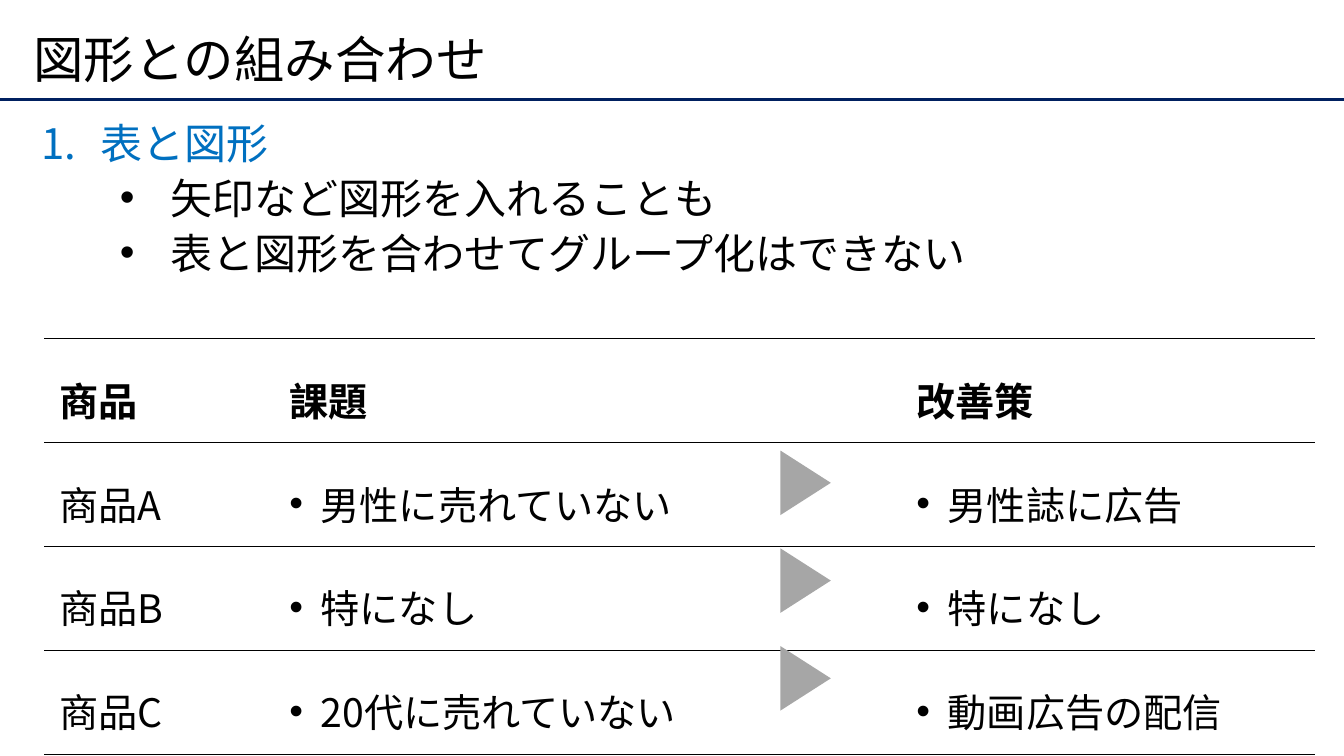
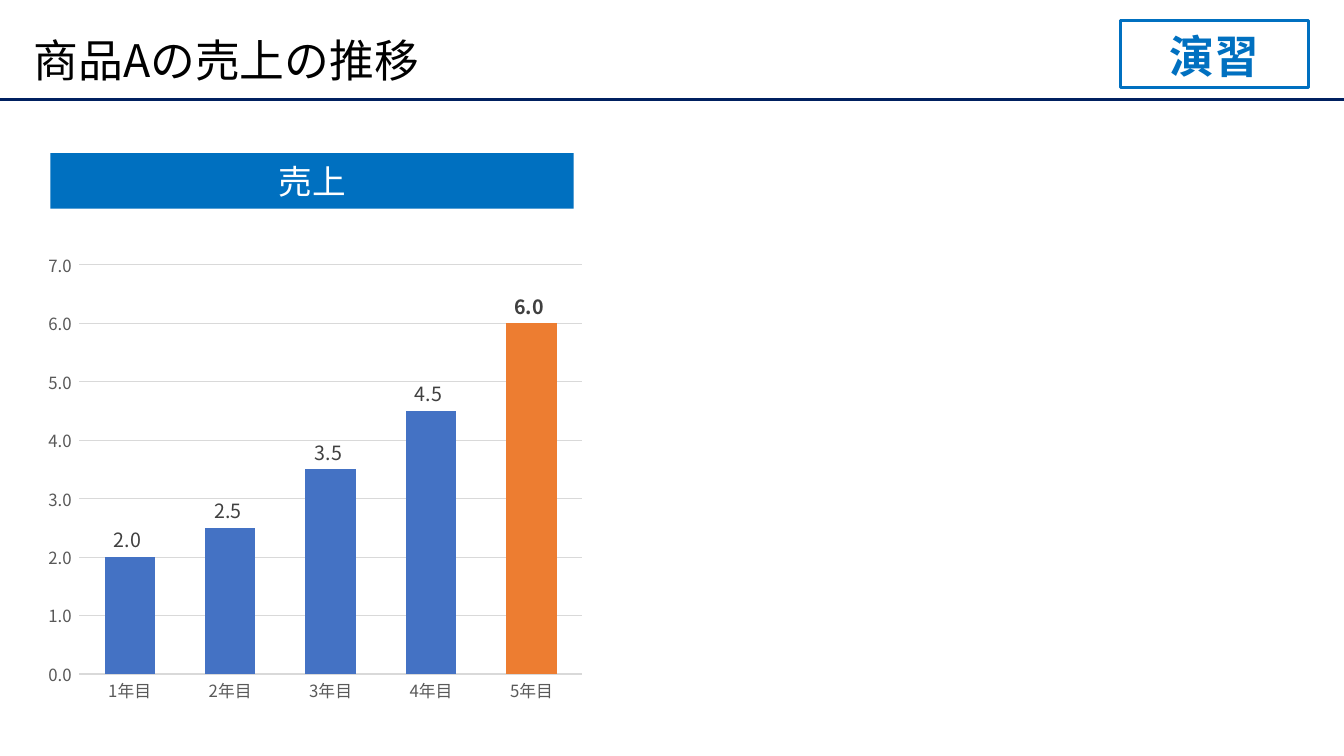
from lxml import etree
from pptx import Presentation
from pptx.chart.data import CategoryChartData
from pptx.dml.color import RGBColor
from pptx.enum.chart import XL_CHART_TYPE, XL_LABEL_POSITION, XL_TICK_MARK
from pptx.enum.shapes import MSO_CONNECTOR, MSO_SHAPE
from pptx.enum.text import MSO_ANCHOR, MSO_AUTO_SIZE, PP_ALIGN
from pptx.oxml import parse_xml
from pptx.oxml.ns import nsdecls, qn
from pptx.util import Inches, Pt

FONT = "Noto Sans CJK JP"
BLACK = RGBColor(0x00, 0x00, 0x00)
WHITE = RGBColor(0xFF, 0xFF, 0xFF)
NAVY = RGBColor(0x00, 0x20, 0x60)
BLUE = RGBColor(0x00, 0x70, 0xC0)
ARROW_GRAY = RGBColor(0xA6, 0xA6, 0xA6)
AXIS_TEXT = RGBColor(0x59, 0x59, 0x59)
LABEL_TEXT = RGBColor(0x40, 0x40, 0x40)
GRID = RGBColor(0xD9, 0xD9, 0xD9)
BAR = RGBColor(0x44, 0x72, 0xC4)
HIGHLIGHT = RGBColor(0xED, 0x7D, 0x31)
NUMBER_FORMAT = r"0.0_);[Red]\(0.0\)"


def set_font(font, size, color, bold=False):
    font.size = Pt(size)
    font.bold = bold
    font.color.rgb = color
    font.name = FONT
    # East Asian typeface follows the Latin one
    latin = font._rPr.find(qn("a:latin"))
    latin.addnext(parse_xml(f'<a:ea {nsdecls("a")} typeface="{FONT}"/>'))


def set_bullet(p, left, hanging, tag="buChar", **attrs):
    pPr = p._p.get_or_add_pPr()
    pPr.set("marL", str(Inches(left)))
    pPr.set("indent", str(-Inches(hanging)))
    if tag == "buChar":
        font = etree.SubElement(pPr, qn("a:buFont"))
        font.set("typeface", "Arial")
        attrs = {"char": "•"}
    etree.SubElement(pPr, qn(f"a:{tag}"), attrs)


prs = Presentation()
prs.slide_width, prs.slide_height = Inches(13.33), Inches(7.5)

# Shared title and rule
slides = []
for title, size in (("図形との組み合わせ", 36), ("商品Aの売上の推移", 32)):
    s = prs.slides.add_slide(prs.slide_layouts[5])
    rule = s.shapes.add_connector(
        MSO_CONNECTOR.STRAIGHT, 0, Inches(0.99), prs.slide_width, Inches(0.99))
    rule.line.color.rgb = NAVY
    rule.line.width = Pt(2.25)
    etree.SubElement(rule._element.spPr, qn("a:effectLst"))
    sp = s.shapes.title
    sp.left, sp.top = Inches(0.23), Inches(0.2)
    sp.width, sp.height = Inches(12.6), Inches(0.84)
    tf = sp.text_frame
    tf.text = title
    tf.auto_size = MSO_AUTO_SIZE.NONE
    tf.vertical_anchor = MSO_ANCHOR.MIDDLE
    p = tf.paragraphs[0]
    p.alignment = PP_ALIGN.LEFT
    p.line_spacing = 0.9
    set_font(p.runs[0].font, size, BLACK)
    slides.append(s)
table_slide, chart_slide = slides

# Slide 1: table
rows = [
    ("商品", "課題", "改善策"),
    ("商品A", "男性に売れていない", "男性誌に広告"),
    ("商品B", "特になし", "特になし"),
    ("商品C", "20代に売れていない", "動画広告の配信"),
]
frame = table_slide.shapes.add_table(
    len(rows), 3, Inches(0.44), Inches(3.36), Inches(12.6), Inches(3.76))
table = frame.table
table.first_row = table.horz_banding = False
for column, width in zip(table.columns, (2.28, 6.22, 4.1)):
    column.width = Inches(width)
for i, texts in enumerate(rows):
    top = 1 if i == 0 else 0.25
    bottom = 1 if i == len(rows) - 1 else 0.25
    for j, text in enumerate(texts):
        cell = table.cell(i, j)
        cell.text = text
        cell.vertical_anchor = MSO_ANCHOR.MIDDLE
        cell.margin_left = cell.margin_right = Inches(0.15)
        cell.margin_top = cell.margin_bottom = Inches(0.15)
        cell.fill.solid()
        cell.fill.fore_color.rgb = WHITE
        p = cell.text_frame.paragraphs[0]
        p.line_spacing = 1.3
        if i and j:
            set_bullet(p, 0.31, 0.31)
        set_font(p.runs[0].font, 28, BLACK, bold=i == 0)
        # Horizontal borders only
        tcPr = cell._tc.get_or_add_tcPr()
        for k, (side, width) in enumerate(
                (("L", 0), ("R", 0), ("T", top), ("B", bottom))):
            fill = (f'<a:solidFill><a:srgbClr val="{BLACK}"/></a:solidFill>'
                    if width else "<a:noFill/>")
            tcPr.insert(k, parse_xml(
                f'<a:ln{side} {nsdecls("a")} w="{Pt(width)}">{fill}</a:ln{side}>'))

# Slide 1: numbered heading and bullets
sp = table_slide.shapes.add_textbox(
    Inches(0.31), Inches(1.07), Inches(12.52), Inches(2.02))
tf = sp.text_frame
tf.word_wrap = True
tf.text = "表と図形\n矢印など図形を入れることも\n表と図形を合わせてグループ化はできない"
for i, p in enumerate(tf.paragraphs):
    p.line_spacing = 1.09
    if i == 0:
        set_bullet(p, 0.59, 0.59, "buAutoNum", type="arabicPeriod")
    else:
        p.level = 1
        set_bullet(p, 1.28, 0.5)
    set_font(p.runs[0].font, 30, BLACK if i else BLUE)

# Slide 1: arrows from issue to remedy
for i in range(3):
    sp = table_slide.shapes.add_shape(
        MSO_SHAPE.ISOSCELES_TRIANGLE,
        Inches(7.67), Inches(4.54 + 0.97 * i), Inches(0.64), Inches(0.5))
    sp.rotation = 90
    sp.shadow.inherit = False
    sp.fill.solid()
    sp.fill.fore_color.rgb = ARROW_GRAY
    sp.line.fill.background()

# Slide 2: exercise badge and chart heading
for text, box, size, color, fill, anchor in (
        ("演習", (11.11, 0.2, 1.87, 0.67), 32, BLUE, None, MSO_ANCHOR.BOTTOM),
        ("売上", (0.5, 1.52, 5.19, 0.55), 24, WHITE, BLUE, MSO_ANCHOR.MIDDLE)):
    sp = chart_slide.shapes.add_shape(
        MSO_SHAPE.RECTANGLE, *(Inches(v) for v in box))
    sp.shadow.inherit = False
    if fill is None:
        sp.fill.background()
        sp.line.color.rgb = BLUE
        sp.line.width = Pt(2.25)
    else:
        sp.fill.solid()
        sp.fill.fore_color.rgb = fill
        sp.line.fill.background()
    tf = sp.text_frame
    tf.text = text
    tf.vertical_anchor = anchor
    p = tf.paragraphs[0]
    p.alignment = PP_ALIGN.CENTER
    set_font(p.runs[0].font, size, color, bold=fill is None)

# Slide 2: sales chart
data = CategoryChartData(number_format=NUMBER_FORMAT)
data.categories = [f"{year}年目" for year in range(1, 6)]
data.add_series("売上", (2, 2.5, 3.5, 4.5, 6))
chart = chart_slide.shapes.add_chart(
    XL_CHART_TYPE.COLUMN_CLUSTERED, Inches(0.37), Inches(2.41),
    Inches(5.51), Inches(4.66), data).chart
set_font(chart.font, 10, BLACK)
chart.has_title = chart.has_legend = False

for axis in (chart.category_axis, chart.value_axis):
    axis.major_tick_mark = axis.minor_tick_mark = XL_TICK_MARK.NONE
    set_font(axis.tick_labels.font, 12, AXIS_TEXT)
chart.category_axis.format.line.color.rgb = GRID
chart.category_axis.format.line.width = Pt(0.75)
axis = chart.value_axis
axis.minimum_scale, axis.maximum_scale, axis.major_unit = 0, 7, 1
axis.format.line.fill.background()
axis.major_gridlines.format.line.color.rgb = GRID
axis.major_gridlines.format.line.width = Pt(0.75)
axis.tick_labels.number_format = NUMBER_FORMAT
axis.tick_labels.number_format_is_linked = False

plot = chart.plots[0]
plot.gap_width, plot.overlap = 100, -27
plot.vary_by_categories = False
series = plot.series[0]
series.format.fill.solid()
series.format.fill.fore_color.rgb = BAR
labels = series.data_labels
labels.show_value = True
labels.position = XL_LABEL_POSITION.OUTSIDE_END
labels.number_format = NUMBER_FORMAT
labels.number_format_is_linked = False
set_font(labels.font, 14, LABEL_TEXT)

# Final year stands out
point = series.points[4]
point.format.fill.solid()
point.format.fill.fore_color.rgb = HIGHLIGHT
set_font(point.data_label.font, 14, LABEL_TEXT, bold=True)
point.data_label.position = XL_LABEL_POSITION.OUTSIDE_END

prs.save("out.pptx")
